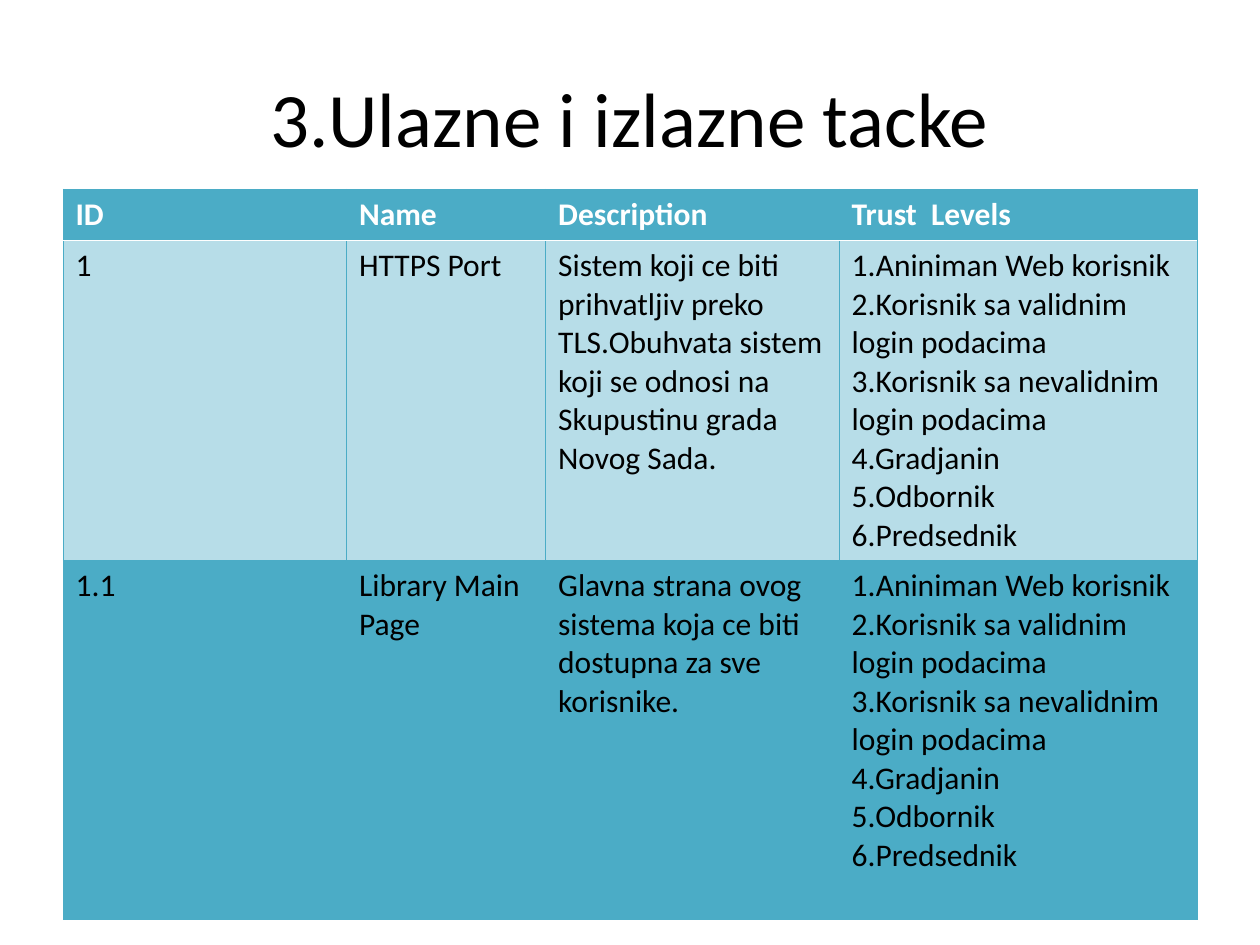
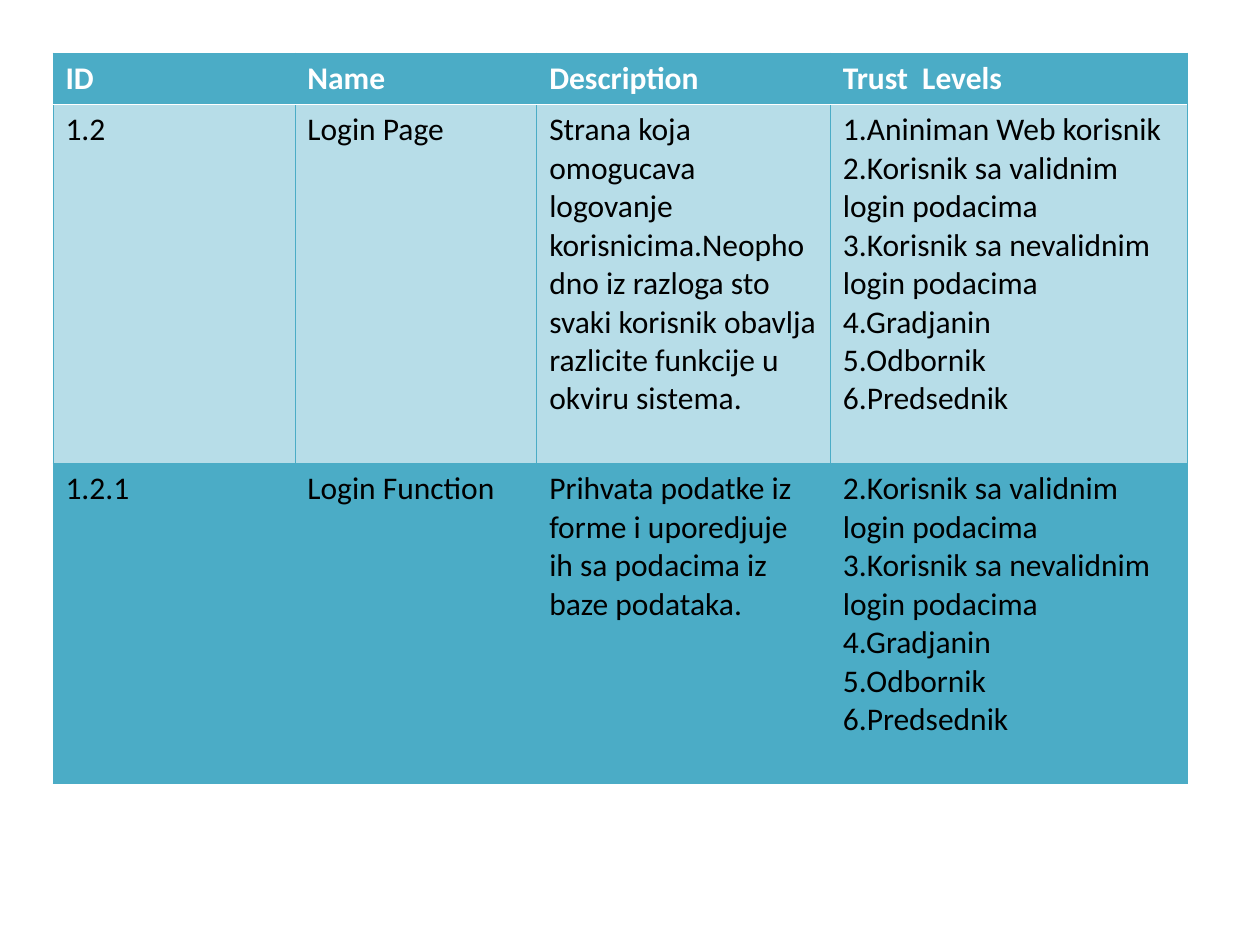
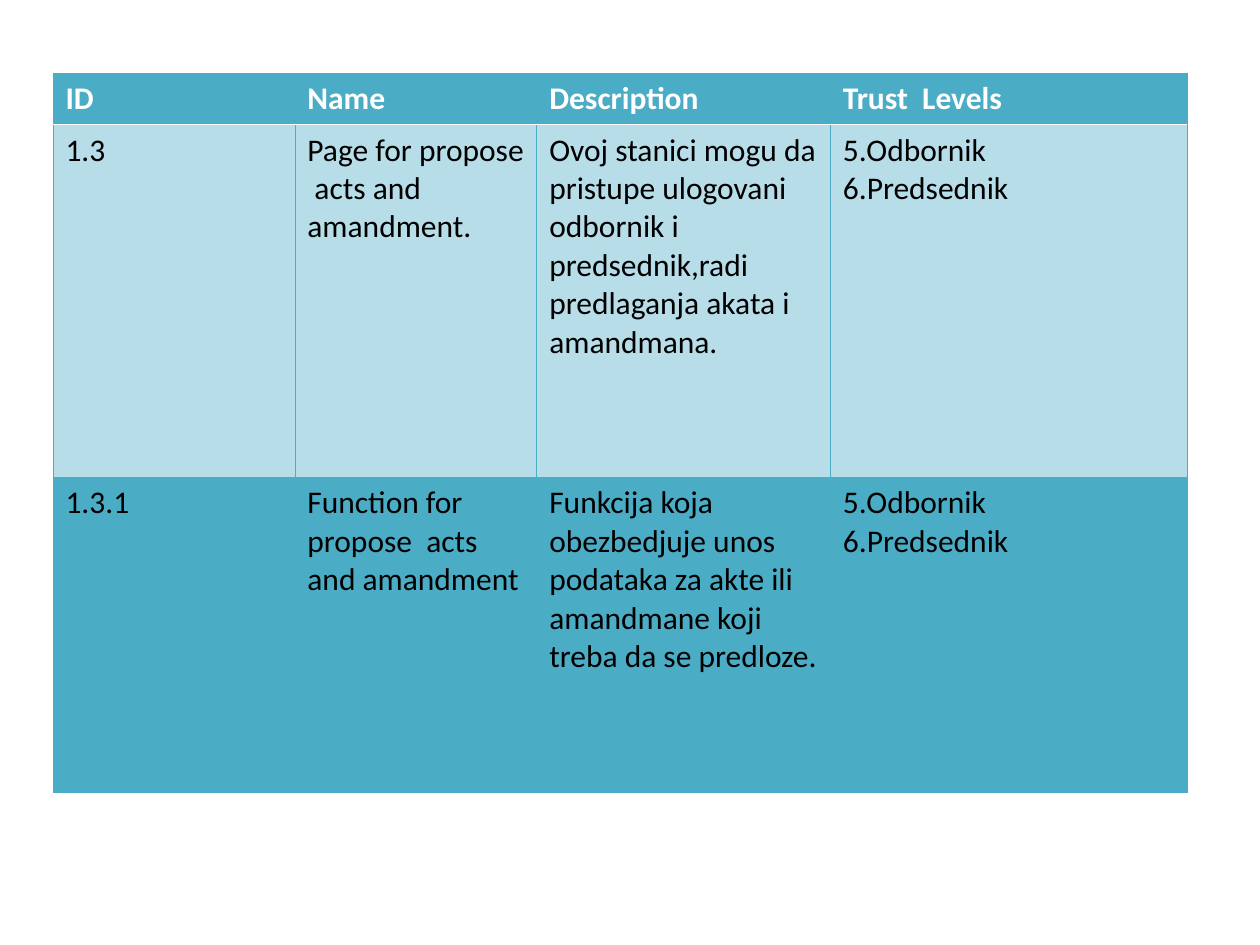
from lxml import etree
from pptx import Presentation
from pptx.dml.color import RGBColor
from pptx.enum import text
from pptx.oxml import ns
from pptx.util import Inches, Pt

FONT = "Calibri"
TEAL, PALE, WHITE, BLACK = "4BACC6", "B7DDE8", "FFFFFF", "000000"
THIN, THICK = 0.34, 0.96

HEADINGS = ("ID", "Name", "Description", "Trust  Levels")
TRUST_LEVELS = (
    "1.Aniniman Web korisnik",
    "2.Korisnik sa validnim login podacima",
    "3.Korisnik sa nevalidnim login podacima",
    "4.Gradjanin",
    "5.Odbornik",
    "6.Predsednik",
)
# Each entry point: ID, name, description, number of its first trust level
SLIDES = [
    {
        "title": "3.Ulazne i izlazne tacke",
        "corner": (0.5, 1.5),
        "columns": (2.25, 1.58, 2.33, 2.84),
        "rows": (0.41, 2.54, 2.85),
        "entries": [
            ("1", "HTTPS Port",
             "Sistem koji ce biti prihvatljiv preko TLS.Obuhvata sistem koji se "
             "odnosi na Skupustinu grada Novog Sada.", 1),
            ("1.1", "Library Main Page",
             "Glavna strana ovog sistema koja ce biti dostupna za sve korisnike.", 1),
        ],
    },
    {
        "corner": (0.42, 0.42),
        "columns": (1.92, 1.92, 2.33, 2.83),
        "rows": (0.41, 2.85, 2.54),
        "entries": [
            ("1.2", "Login Page",
             "Strana koja omogucava logovanje korisnicima.Neophodno iz razloga sto "
             "svaki korisnik obavlja razlicite funkcije u okviru sistema.", 1),
            ("1.2.1", "Login Function",
             "Prihvata podatke iz forme i uporedjuje ih sa podacima iz baze podataka.", 2),
        ],
    },
    {
        "corner": (0.42, 0.58),
        "columns": (1.92, 1.92, 2.33, 2.83),
        "rows": (0.41, 2.8, 2.5),
        "entries": [
            ("1.3", "Page for propose  acts and amandment.",
             "Ovoj stanici mogu da pristupe ulogovani  odbornik i predsednik,radi "
             "predlaganja akata i amandmana.", 5),
            ("1.3.1", "Function for propose  acts and amandment",
             "Funkcija koja obezbedjuje unos podataka za akte ili amandmane koji "
             "treba da se predloze.", 5),
        ],
    },
]

TEAL_EDGE, WHITE_EDGE = (TEAL, THIN), (WHITE, THICK)
ROW_STYLES = [
    {"fill": TEAL, "color": WHITE, "bold": True, "top": TEAL_EDGE, "bottom": WHITE_EDGE},
    {"fill": PALE, "color": BLACK, "bold": False, "top": WHITE_EDGE, "bottom": TEAL_EDGE},
    {"fill": TEAL, "color": BLACK, "bold": False, "top": TEAL_EDGE, "bottom": TEAL_EDGE},
]


def rgb(value):
    return RGBColor.from_string(value)


def write(frame, lines, size, color, bold=False, align=text.PP_ALIGN.LEFT):
    frame.text = "\n".join(lines)
    for paragraph in frame.paragraphs:
        paragraph.alignment = align
        font = paragraph.runs[0].font
        for key, value in {"name": FONT, "size": Pt(size), "bold": bold}.items():
            setattr(font, key, value)
        font.color.rgb = rgb(color)


def add_border(cell, tag, color, width):
    properties = cell._tc.get_or_add_tcPr()
    line = etree.SubElement(properties, ns.qn(f"a:{tag}"), w=str(Pt(width)))
    fill = etree.SubElement(line, ns.qn("a:solidFill"))
    etree.SubElement(fill, ns.qn("a:srgbClr"), val=color)


def add_title(slide, title):
    box = slide.shapes.add_textbox(Inches(0.5), Inches(0.3), Inches(9), Inches(1.25))
    box.text_frame.word_wrap = True
    box.text_frame.vertical_anchor = text.MSO_ANCHOR.MIDDLE
    write(box.text_frame, [title], 44, BLACK, align=text.PP_ALIGN.CENTER)


def add_entry_table(slide, corner, columns, rows, entries):
    left, top = corner
    table = slide.shapes.add_table(
        len(rows), len(columns), Inches(left), Inches(top),
        Inches(sum(columns)), Inches(sum(rows))).table
    table.horz_banding = False
    for column, width in zip(table.columns, columns):
        column.width = Inches(width)

    contents = [[[heading] for heading in HEADINGS]]
    for number, name, description, first_level in entries:
        contents.append([[number], [name], [description], TRUST_LEVELS[first_level - 1:]])

    for row, height, content, style in zip(table.rows, rows, contents, ROW_STYLES):
        row.height = Inches(height)
        edges = {"lnL": TEAL_EDGE, "lnR": TEAL_EDGE,
                 "lnT": style["top"], "lnB": style["bottom"]}
        for cell, lines in zip(row.cells, content):
            write(cell.text_frame, lines, 18, style["color"], style["bold"])
            for tag, edge in edges.items():
                add_border(cell, tag, *edge)
            cell.fill.solid()
            cell.fill.fore_color.rgb = rgb(style["fill"])


def main():
    deck = Presentation()
    deck.slide_width, deck.slide_height = Inches(10), Inches(7.5)
    for content in SLIDES:
        slide = deck.slides.add_slide(deck.slide_layouts[6])
        if "title" in content:
            add_title(slide, content["title"])
        add_entry_table(slide, content["corner"], content["columns"],
                        content["rows"], content["entries"])
    deck.save("out.pptx")


if __name__ == "__main__":
    main()
